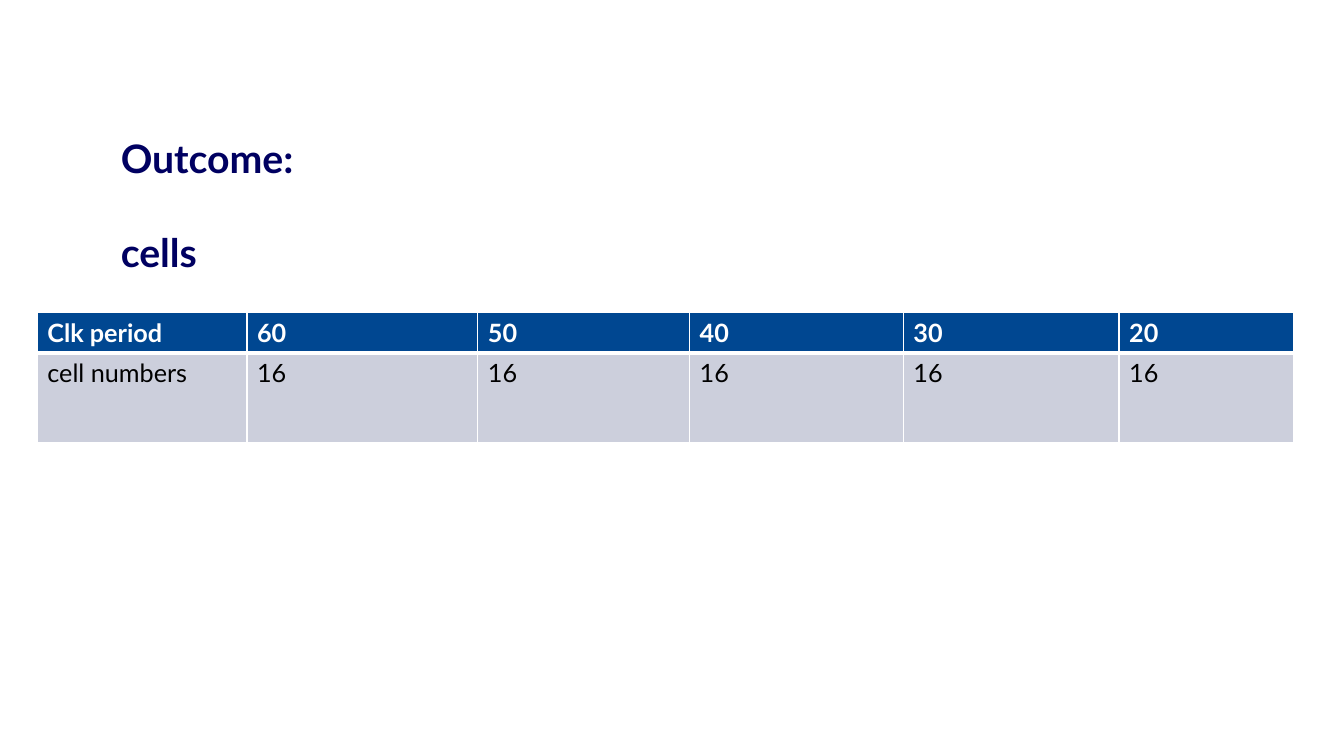
from lxml import etree
from pptx import Presentation
from pptx.dml.color import RGBColor
from pptx.enum.text import MSO_ANCHOR
from pptx.oxml.ns import qn
from pptx.util import Inches, Pt

TOP = MSO_ANCHOR.TOP
NAVY, BLUE, GREY, WHITE, BLACK = "000061", "004791", "CCCFDC", "FFFFFF", "000000"


def color(code):
    return RGBColor.from_string(code)


class Deck:
    face = "Lato"

    def __init__(self, width, height):
        self.show = Presentation()
        self.show.slide_width = Inches(width)
        self.show.slide_height = Inches(height)
        self.slide = self.show.slides.add_slide(self.show.slide_layouts[6])

    def label(self, para, text, size, tint, bold):
        run = para.add_run()
        run.text = text
        style = {"name": self.face, "size": Pt(size), "bold": bold}
        for key, value in style.items():
            setattr(run.font, key, value)
        run.font.color.rgb = color(tint)

    def heading(self, text, left, top, width, height):
        box = self.slide.shapes.add_textbox(
            Inches(left), Inches(top), Inches(width), Inches(height))
        frame = box.text_frame
        layout = {
            "word_wrap": True,
            "vertical_anchor": TOP,
            "margin_left": Inches(0.1),
            "margin_top": Inches(0.12),
            "margin_right": Inches(0.1),
            "margin_bottom": Inches(0.05),
        }
        for key, value in layout.items():
            setattr(frame, key, value)
        para = frame.paragraphs[0]
        para.line_spacing = 0.8
        self.label(para, text, 28, NAVY, True)

    def border(self, cell, sides):
        props = cell._tc.get_or_add_tcPr()
        for side, width in sides.items():
            line = etree.SubElement(props, qn(f"a:ln{side}"), w=str(Pt(width)))
            fill = etree.SubElement(line, qn("a:solidFill"))
            etree.SubElement(fill, qn("a:srgbClr"), val=WHITE)

    def table(self, rows, left, top, widths, heights):
        grid = self.slide.shapes.add_table(
            len(rows), len(widths), Inches(left), Inches(top),
            Inches(sum(widths)), Inches(sum(heights))).table
        for col, width in zip(grid.columns, widths):
            col.width = Inches(width)
        for row, height in zip(grid.rows, heights):
            row.height = Inches(height)
        for r, texts in enumerate(rows):
            head = r == 0
            sides = {"L": 1, "R": 1, "T": 1 if head else 3, "B": 3 if head else 1}
            for c, text in enumerate(texts):
                cell = grid.cell(r, c)
                self.border(cell, sides)
                cell.fill.solid()
                cell.fill.fore_color.rgb = color(BLUE if head else GREY)
                self.label(cell.text_frame.paragraphs[0], text, 18,
                           WHITE if head else BLACK, head)


def main():
    deck = Deck(13.33, 7.5)
    deck.heading("Outcome:", 1.1, 1.3, 3.9, 0.62)
    clocks = ["60", "50", "40", "30", "20"]
    deck.table(
        [["Clk period"] + clocks, ["cell numbers"] + ["16"] * len(clocks)],
        0.37, 3.1, [2.08, 2.29, 2.1, 2.12, 2.14, 1.73], [0.4, 0.89])
    deck.heading("cells", 1.1, 2.23, 3.9, 0.62)
    deck.show.save("out.pptx")


if __name__ == "__main__":
    main()
